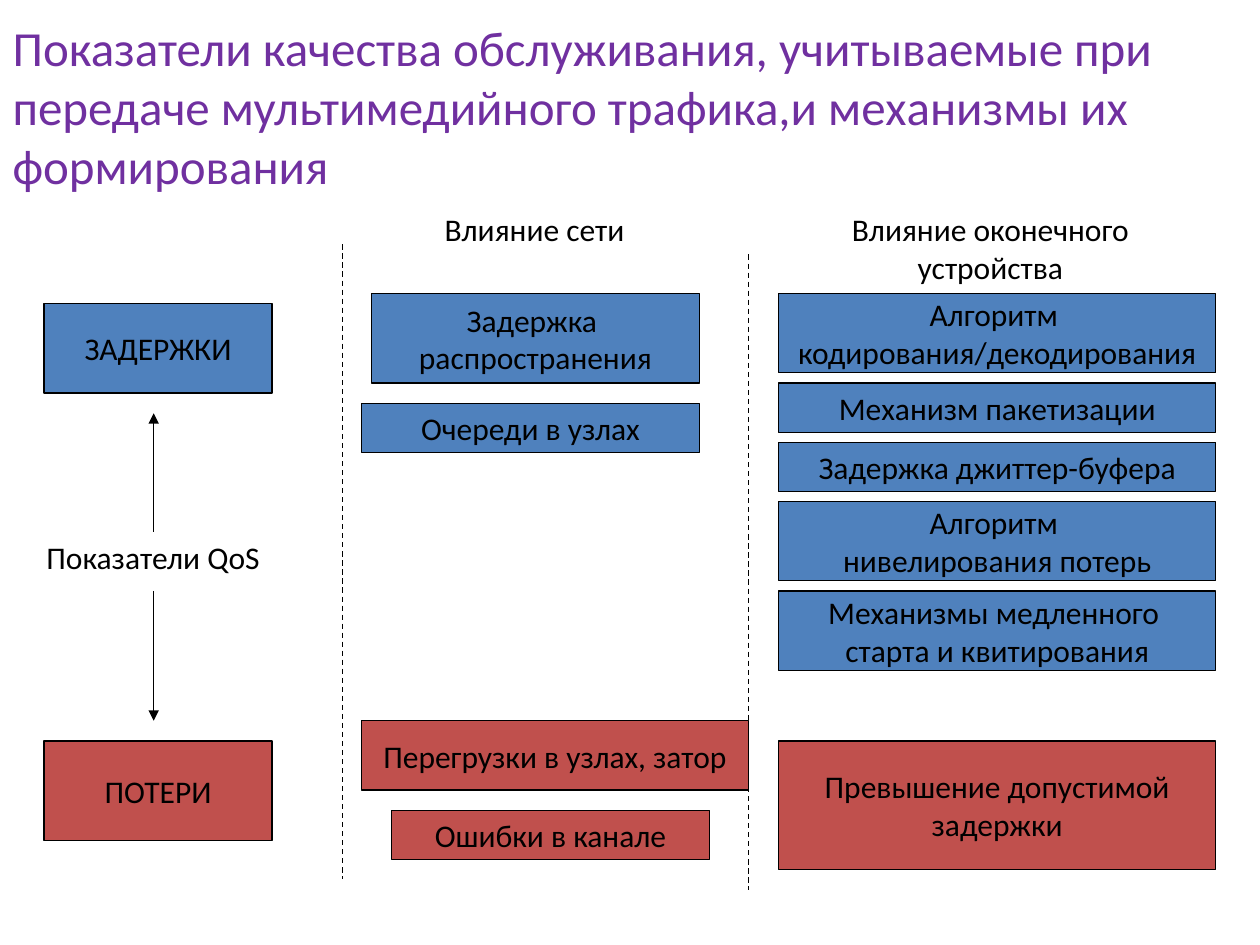
import pptx
import pptx.util
import pptx.dml.color
import pptx.enum.dml
import pptx.enum.shapes
import pptx.enum.text
from pptx.oxml.ns import qn
from lxml import etree

Inches, Pt = pptx.util.Inches, pptx.util.Pt
RGBColor = pptx.dml.color.RGBColor
ALIGN = pptx.enum.text.PP_ALIGN
ANCHOR = pptx.enum.text.MSO_ANCHOR

BLUE = RGBColor(0x4F, 0x81, 0xBD)
RED = RGBColor(0xC0, 0x50, 0x4D)
PURPLE = RGBColor(0x70, 0x30, 0xA0)
BLACK = RGBColor(0, 0, 0)
FONT = "Calibri"

TITLE = ("Показатели качества обслуживания, учитываемые при передаче "
         "мультимедийного трафика,и механизмы их формирования")

# Columns of the diagram: left edge and width
METRIC = (0.35, 1.81)
DEVICE = (6.18, 3.47)
ONE, TWO, GAP = 0.39, 0.63, 0.08  # heights of one- and two-line boxes, gap

# text, colour, left, top, width, height
BOXES = [
    ("ЗАДЕРЖКИ", BLUE, METRIC[0], 2.41, METRIC[1], 0.71),
    ("ПОТЕРИ", RED, METRIC[0], 5.88, METRIC[1], 0.79),
    ("Задержка \nраспространения", BLUE, 2.95, 2.33, 2.6, 0.71),
    ("Очереди в узлах", BLUE, 2.87, 3.2, 2.68, ONE),
    ("Перегрузки в узлах, затор", RED, 2.87, 5.72, 3.07, 0.55),
    ("Ошибки в канале", RED, 3.11, 6.43, 2.52, ONE),
    ("Превышение допустимой\nзадержки", RED, DEVICE[0], 5.88, DEVICE[1], 1.02),
]
STACK_TOP = 2.33
STACK = [
    "Алгоритм \nкодирования/декодирования",
    "Механизм пакетизации",
    "Задержка джиттер-буфера",
    "Алгоритм \nнивелирования потерь",
    "Механизмы медленного \nстарта и квитирования",
]
# text, left, top, width, height, alignment
LABELS = [
    ("Влияние сети", 3.43, 1.62, 1.79, 0.4, ALIGN.LEFT),
    ("Влияние оконечного\nустройства", 6.57, 1.62, 2.58, 0.7, ALIGN.CENTER),
    ("Показатели QoS", 0.27, 4.22, 2.13, 0.4, ALIGN.LEFT),
]
# x, start, end
ARROWS = [(1.22, 4.69, 5.72), (1.22, 4.22, 3.28)]
BORDERS = [(2.72, 1.94, 6.98), (5.94, 2.02, 7.06)]


def write(frame, text, size, color, align):
    frame.text = text
    for para in frame.paragraphs:
        para.alignment = align
        for run in para.runs:
            run.font.name = FONT
            run.font.size = Pt(size)
            run.font.color.rgb = color


def add_box(slide, text, color, *place):
    box = slide.shapes.add_shape(
        pptx.enum.shapes.MSO_SHAPE.RECTANGLE, *map(Inches, place))
    box.shadow.inherit = False
    box.fill.solid()
    box.fill.fore_color.rgb = color
    box.line.color.rgb = BLACK
    box.line.width = Pt(0.75)
    box.text_frame.word_wrap = False
    box.text_frame.vertical_anchor = ANCHOR.MIDDLE
    write(box.text_frame, text, 18, BLACK, ALIGN.CENTER)


def add_label(slide, text, left, top, width, height, align):
    label = slide.shapes.add_textbox(*map(Inches, (left, top, width, height)))
    label.text_frame.word_wrap = False
    label.text_frame.auto_size = pptx.enum.text.MSO_AUTO_SIZE.SHAPE_TO_FIT_TEXT
    write(label.text_frame, text, 18, BLACK, align)


def add_line(slide, x, start, end):
    line = slide.shapes.add_connector(
        pptx.enum.shapes.MSO_CONNECTOR.STRAIGHT,
        *map(Inches, (x, start, x, end)))
    line.line.color.rgb = BLACK
    line.line.width = Pt(0.75)
    etree.SubElement(line._element.spPr, qn("a:effectLst"))
    return line.line


def main():
    deck = pptx.Presentation()
    deck.slide_width, deck.slide_height = Inches(10), Inches(7.5)
    slide = deck.slides.add_slide(deck.slide_layouts[5])

    title = slide.shapes.title
    title.left, title.top = Inches(0), Inches(0.21)
    title.width, title.height = Inches(10), Inches(1.26)
    title.text_frame.word_wrap = True
    title.text_frame.auto_size = pptx.enum.text.MSO_AUTO_SIZE.NONE
    title.text_frame.vertical_anchor = ANCHOR.MIDDLE
    write(title.text_frame, TITLE, 28, PURPLE, ALIGN.LEFT)

    for x, start, end in BORDERS:
        line = add_line(slide, x, start, end)
        line.dash_style = pptx.enum.dml.MSO_LINE.DASH
    for x, start, end in ARROWS:
        line = add_line(slide, x, start, end)
        etree.SubElement(line._get_or_add_ln(), qn("a:tailEnd"),
                         type="triangle")

    for box in BOXES:
        add_box(slide, *box)
    top = STACK_TOP
    for text in STACK:
        height = TWO if "\n" in text else ONE
        add_box(slide, text, BLUE, DEVICE[0], top, DEVICE[1], height)
        top += height + GAP
    for label in LABELS:
        add_label(slide, *label)

    deck.save("out.pptx")


if __name__ == "__main__":
    main()
